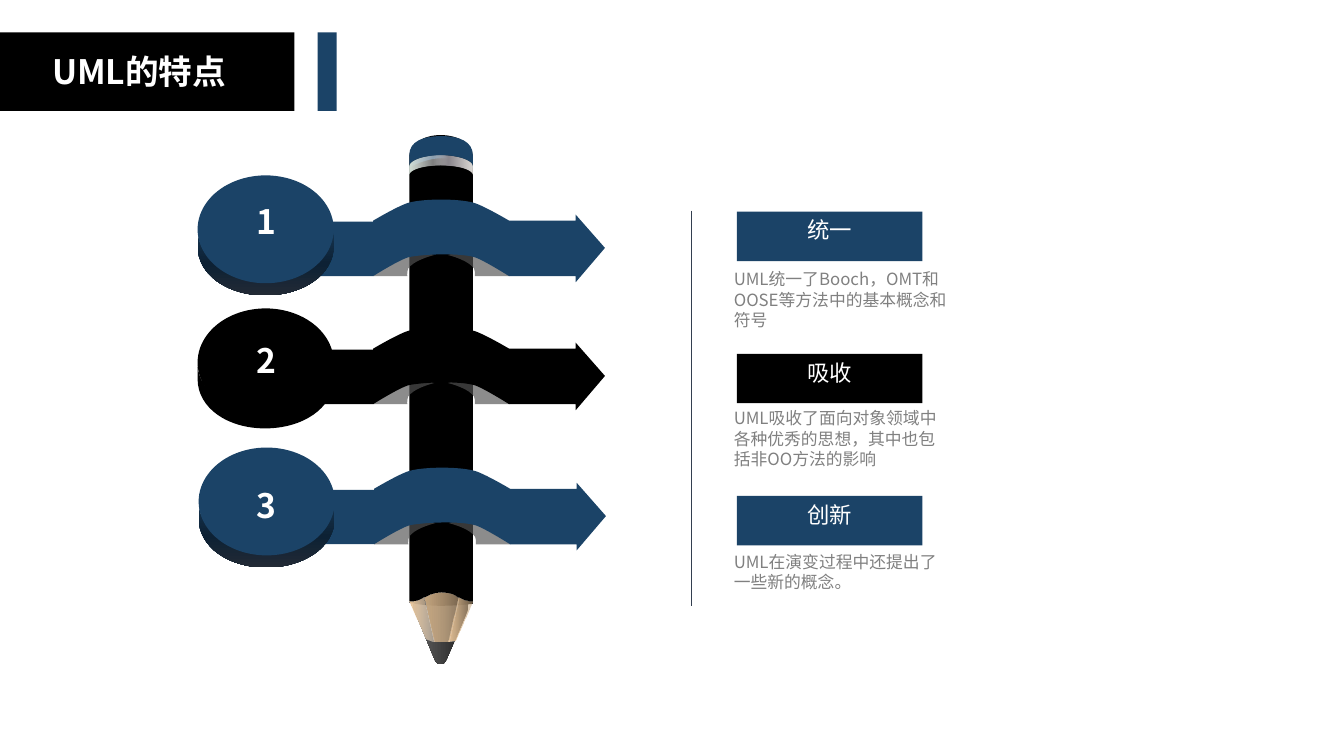
"""Build the UML features slide: a pencil, three numbered ribbons and captions."""
from lxml import etree
from pptx import Presentation
from pptx import util as u
from pptx.dml.color import RGBColor
from pptx.enum import shapes, text
from pptx.oxml.ns import qn

CELL = u.Inches(0.01)
COLUMNS, ROWS = 1333, 750
FONT = "Noto Sans CJK SC"
BLACK = RGBColor(0, 0, 0)
BLUE = RGBColor(0x1B, 0x43, 0x67)
WHITE = RGBColor(0xFF, 0xFF, 0xFF)
GRAY = RGBColor(0x80, 0x80, 0x80)
SLATE = RGBColor(0x33, 0x3F, 0x50)
SHADE = RGBColor(0x54, 0x54, 0x54)
INK = RGBColor(0x1D, 0x1D, 0x1D)
GRAPHITE = RGBColor(0x66, 0x66, 0x66)
CREAM = RGBColor(0xF3, 0xE1, 0xCB)
WOOD = RGBColor(0xE7, 0xC3, 0x97)
DARK_WOOD = RGBColor(0xC6, 0xA7, 0x81)
SILVER = RGBColor(0xDD, 0xDA, 0xD6)
STEEL = RGBColor(0x8B, 0x87, 0x8D)
GLINT = RGBColor(0xF3, 0xF4, 0xF4)
MINT = RGBColor(0xD1, 0xDD, 0xD4)
NAVY = RGBColor(0x14, 0x32, 0x4D)
DEEP_NAVY = RGBColor(0x0D, 0x21, 0x34)
CHARCOAL = RGBColor(0x22, 0x2A, 0x35)

RIM_STOPS = [(0, NAVY, 100), (50, DEEP_NAVY, 100), (100, CHARCOAL, 100)]
FERRULE_STOPS = [(0, SILVER, 100), (38, STEEL, 100), (63, GLINT, 52), (100, MINT, 100)]

PENCIL = [
    ([(457, 595), (464, 595, 466, 600, 463, 608), (443, 654), (440, 661, 434, 661, 431, 654),
      (412, 608), (408, 600, 411, 595, 417, 595)], [(0, INK, 100), (100, GRAPHITE, 100)]),
    ([(469, 599), (469, 599, 455, 601, 437, 601), (420, 601, 406, 598, 406, 598), (406, 155),
      (406, 143, 420, 134, 437, 134), (455, 134, 469, 143, 469, 155)], BLACK),
    ([(438, 157), (450, 157, 461, 163, 469, 167), (469, 154), (469, 140, 455, 135, 438, 135),
      (420, 135, 406, 140, 406, 154), (406, 166), (414, 162, 426, 157, 438, 157)], BLUE),
    ([(437, 154), (420, 154, 406, 159, 406, 165), (406, 174), (406, 168, 420, 164, 437, 164),
      (455, 164, 469, 168, 469, 174), (469, 165), (469, 159, 455, 154, 437, 154)], FERRULE_STOPS),
    ([(420, 593), (417, 595, 413, 597, 406, 597), (422, 633), (430, 636), (431, 636)],
     [(0, CREAM, 52), (100, WOOD, 100)]),
    ([(445, 636), (452, 635), (469, 597), (462, 597, 458, 595, 455, 593)],
     [(0, DARK_WOOD, 52), (100, WOOD, 100)]),
    ([(449, 590), (446, 589, 443, 588, 438, 588), (433, 588, 430, 589, 427, 590),
      (425, 591, 423, 592, 421, 593), (431, 636), (445, 636), (455, 594),
      (453, 592, 451, 591, 449, 590)], [(0, WOOD, 52), (100, DARK_WOOD, 100)]),
]
RIBBON_WIDTH = 135
FOLD = [(61, 56), (61, 56, 44, 60, 37, 67), (33, 69, 34, 77, 34, 77), (0, 77), (6, 62), (27, 47)]
ARROW = [(230, 49), (201, 16), (201, 22), (135, 22), (135, 77), (201, 77), (201, 83)]
RIBBON = [(36, 58), (52, 55, 85, 54, 100, 58), (108, 60, 135, 77, 135, 77), (135, 22),
          (135, 22, 108, 6, 99, 4), (84, 0, 51, 0, 36, 4), (27, 6, 0, 22, 0, 22), (0, 77),
          (0, 77, 27, 60, 36, 58)]
RIM = [(67, 45), (32, 45, 2, 27, 0, 0), (0, 13), (0, 42, 30, 62, 67, 62),
       (104, 62, 135, 42, 135, 13), (135, 0), (132, 27, 103, 45, 67, 45)]

STEPS = [
    ("1", BLUE, RIM_STOPS, 370, 197, 174, 194),
    ("2", BLACK, BLACK, 370, 324, 306, 332),
    ("3", BLUE, RIM_STOPS, 371, 463, 444, 476),
]
CAPTIONS = [
    ("统一", BLUE, "UML统一了Booch，OMT和OOSE等方法中的基本概念和符号", 262, 85),
    ("吸收", BLACK, "UML吸收了面向对象领域中各种优秀的思想，其中也包括非OO方法的影响", 400, 71),
    ("创新", BLUE, "UML在演变过程中还提出了一些新的概念。", 542, 50),
]


def grid(*cells):
    return [round(cell * CELL) for cell in cells]


def mirror(outline):
    return [tuple(RIBBON_WIDTH - value if index % 2 == 0 else value
                  for index, value in enumerate(segment)) for segment in outline]


def add_color(parent, color, opacity):
    node = etree.SubElement(parent, qn("a:srgbClr"), val=str(color))
    if opacity < 100:
        etree.SubElement(node, qn("a:alpha"), val=str(opacity * 1000))


def paint(shape, fill, opacity=100, angle=180):
    shape.shadow.inherit = False
    shape.line.fill.background()
    if isinstance(fill, list):
        shape.fill.gradient()
        shape.fill.gradient_angle = angle
        stops = shape._element.spPr.find(qn("a:gradFill")).find(qn("a:gsLst"))
        for stop in list(stops):
            stops.remove(stop)
        for position, color, alpha in fill:
            add_color(etree.SubElement(stops, qn("a:gs"), pos=str(position * 1000)), color, alpha)
        return
    shape.fill.solid()
    shape.fill.fore_color.rgb = fill
    if opacity < 100:
        solid = shape._element.spPr.find(qn("a:solidFill"))
        solid.remove(solid[0])
        add_color(solid, fill, opacity)


def bend(shape, outline):
    lines = iter(list(shape._element.iter(qn("a:lnTo"))))
    for segment in outline[1:]:
        first = next(lines)
        if len(segment) == 6:
            first.tag_owner = None
            curve = etree.Element(qn("a:cubicBezTo"))
            first.addprevious(curve)
            for line in (first, next(lines), next(lines)):
                curve.append(line[0])
                line.getparent().remove(line)


def add_outline(slide, outline, fill, left=0, top=0, **options):
    points = [grid(left + segment[index], top + segment[index + 1])
              for segment in outline for index in range(0, len(segment), 2)]
    builder = slide.shapes.build_freeform(*points[0], scale=1.0)
    builder.add_line_segments(points[1:], close=True)
    shape = builder.convert_to_shape()
    bend(shape, outline)
    paint(shape, fill, **options)


def add_block(slide, preset, fill, *box):
    paint(slide.shapes.add_shape(preset, *grid(*box)), fill)


def add_text(slide, words, size, color, *box, bold=False, wrap=True, align=text.PP_ALIGN.LEFT):
    frame = slide.shapes.add_textbox(*grid(*box)).text_frame
    frame.word_wrap = wrap
    paragraph = frame.paragraphs[0]
    paragraph.alignment = align
    run = paragraph.add_run()
    run.text = words
    run.font.size, run.font.bold, run.font.name = u.Pt(size), bold, FONT
    run.font.color.rgb = color
    etree.SubElement(run.font._element, qn("a:ea"), typeface=FONT)


def add_step(slide, number, color, rim, left, top, disc_top, number_top):
    disc_left = left - 174
    for fold in (FOLD, mirror(FOLD)):
        add_outline(slide, fold, SHADE, left, top, opacity=67)
    add_outline(slide, ARROW, color, left, top)
    add_outline(slide, RIBBON, color, left, top)
    add_block(slide, shapes.MSO_SHAPE.RECTANGLE, color, left - 57, top + 23, 57, 54)
    add_outline(slide, RIM, rim, disc_left, disc_top + 57, angle=270)
    add_block(slide, shapes.MSO_SHAPE.OVAL, color, disc_left, disc_top, 135, 107)
    add_text(slide, number, 24, WHITE, 245, number_top, 41, 50, bold=True, wrap=False)


def add_caption(slide, row, heading, color, words, top, height):
    bar_top = 210 + 141 * row
    add_text(slide, words, 12, GRAY, 718, top, 233, height)
    add_block(slide, shapes.MSO_SHAPE.RECTANGLE, color, 731, bar_top, 184, 49)
    add_text(slide, heading, 16, WHITE, 791, bar_top, 64, 37, wrap=False, align=text.PP_ALIGN.CENTER)


def add_divider(slide):
    line = slide.shapes.add_connector(shapes.MSO_CONNECTOR.STRAIGHT, *grid(686, 209, 686, 601))
    line.line.color.rgb = SLATE
    line.line.width = u.Pt(0.5)
    etree.SubElement(line._element.spPr, qn("a:effectLst"))


def main():
    presentation = Presentation()
    presentation.slide_width, presentation.slide_height = grid(COLUMNS, ROWS)
    slide = presentation.slides.add_slide(presentation.slide_layouts[6])
    for outline, fill in PENCIL:
        add_outline(slide, outline, fill)
    for step in STEPS:
        add_step(slide, *step)
    for row, caption in enumerate(CAPTIONS):
        add_caption(slide, row, *caption)
    add_divider(slide)
    add_block(slide, shapes.MSO_SHAPE.RECTANGLE, BLACK, 0, 32, 292, 78)
    add_block(slide, shapes.MSO_SHAPE.RECTANGLE, BLUE, 315, 32, 19, 78)
    add_text(slide, "UML的特点", 24, WHITE, 0, 46, 276, 50, bold=True, align=text.PP_ALIGN.CENTER)
    presentation.save("out.pptx")


if __name__ == "__main__":
    main()
